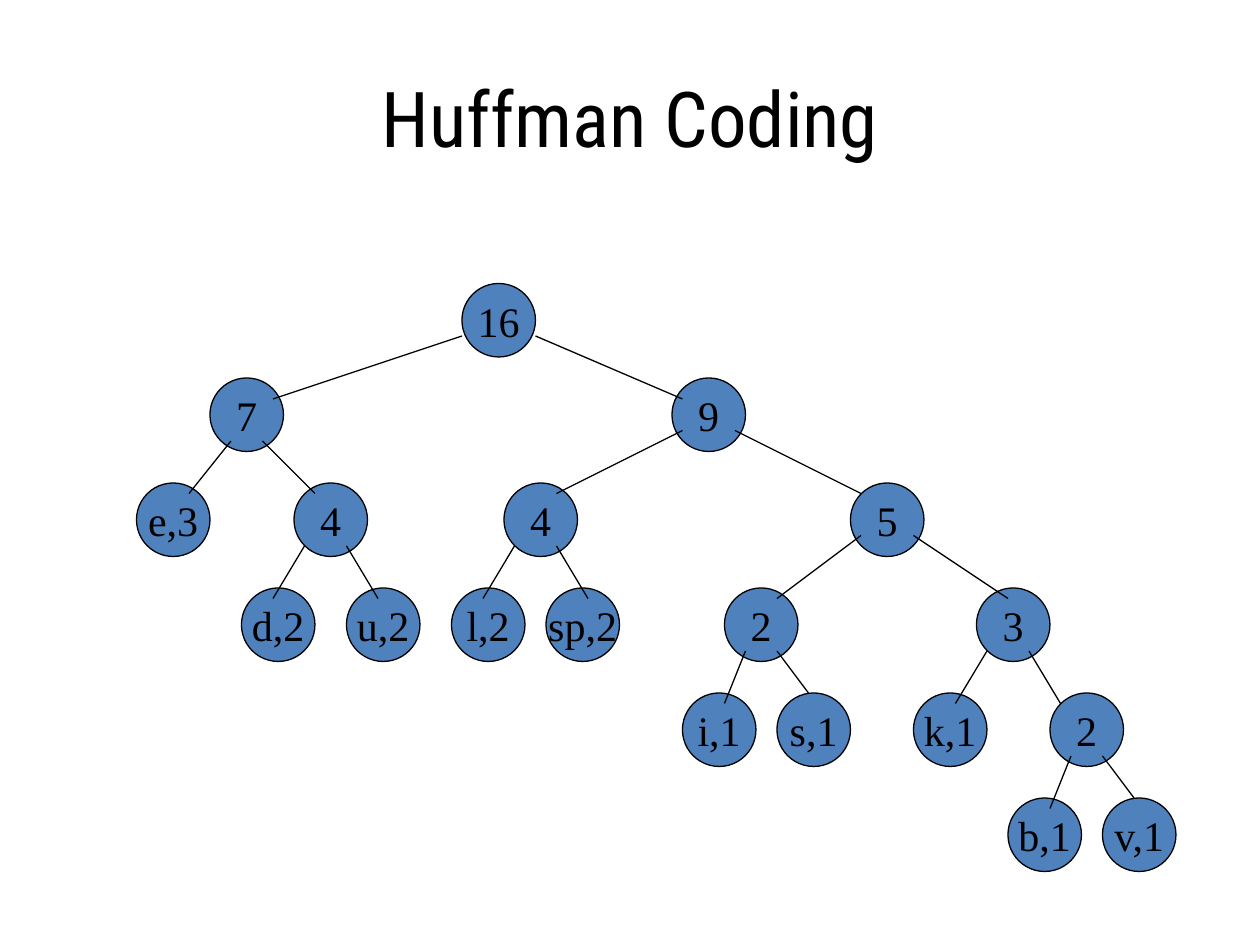
from dataclasses import dataclass

from lxml import etree
from pptx import Presentation
from pptx.dml.color import RGBColor
from pptx.enum.shapes import MSO_CONNECTOR, MSO_SHAPE
from pptx.enum.text import MSO_ANCHOR, PP_ALIGN
from pptx.oxml.ns import qn
from pptx.util import Pt

OVAL, STRAIGHT = MSO_SHAPE.OVAL, MSO_CONNECTOR.STRAIGHT
MIDDLE, CENTER = MSO_ANCHOR.MIDDLE, PP_ALIGN.CENTER
EMU_PER_PX = 9525
NODE_SIZE = 56
LEVEL_TOPS = (0, 72, 152, 232, 312, 392)


@dataclass(frozen=True)
class Theme:
    """Colours, fonts and sizes of the slide."""
    ink: RGBColor = RGBColor(0, 0, 0)
    node: RGBColor = RGBColor(0x4F, 0x81, 0xBD)
    title_font: str = "Roboto Condensed"
    node_font: str = "Times New Roman"
    title_size: int = 44
    node_size: int = 24
    line_width: float = 0.75


@dataclass(frozen=True)
class Node:
    """A tree node: left edge, edge start on its parent, edge end on itself."""
    label: str
    x: int
    start: tuple = ()
    end: tuple = ()
    children: tuple = ()


THEME = Theme()
TREE = Node("16", 248, children=(
    Node("7", 56, (0, 40), (48, 16), (
        Node("e,3", 0, (16, 48), (40, 8)),
        Node("4", 120, (40, 48), (16, 8), (
            Node("d,2", 80, (8, 48), (24, 8)),
            Node("u,2", 160, (40, 48), (24, 8)))))),
    Node("9", 408, (56, 40), (8, 16), (
        Node("4", 280, (8, 40), (40, 8), (
            Node("l,2", 240, (8, 48), (24, 8)),
            Node("sp,2", 312, (40, 48), (32, 8)))),
        Node("5", 544, (48, 40), (8, 8), (
            Node("2", 448, (8, 40), (40, 8), (
                Node("i,1", 416, (16, 48), (32, 8)),
                Node("s,1", 488, (40, 48), (24, 0)))),
            Node("3", 640, (48, 40), (24, 8), (
                Node("k,1", 592, (8, 48), (32, 8)),
                Node("2", 696, (40, 48), (8, 8), (
                    Node("b,1", 664, (16, 48), (32, 8)),
                    Node("v,1", 736, (40, 48), (24, 0)))))))))),
))


def px(*lengths):
    """Turn pixel lengths into EMU."""
    return [n * EMU_PER_PX for n in lengths]


def set_attrs(obj, values):
    """Set every attribute in a dict of values."""
    for name, value in values.items():
        setattr(obj, name, value)


def write(sp, text, font, size, wrap):
    """Put one centred paragraph into a shape."""
    tf = sp.text_frame
    set_attrs(tf, {"word_wrap": wrap, "vertical_anchor": MIDDLE})
    p = tf.paragraphs[0]
    p.alignment = CENTER
    r = p.add_run()
    r.text = text
    set_attrs(r.font, {"name": font, "size": Pt(size)})
    r.font.color.rgb = THEME.ink


def style_line(line):
    """Give an outline or edge the thin ink line."""
    line.color.rgb = THEME.ink
    line.width = Pt(THEME.line_width)


def add_title(s, box, text):
    """Place and format the title placeholder."""
    sp = s.shapes.title
    set_attrs(sp, dict(zip(("left", "top", "width", "height"), px(*box))))
    write(sp, text, THEME.title_font, THEME.title_size, True)


def add_node(s, x, y, label):
    """Draw one labelled circle."""
    sp = s.shapes.add_shape(OVAL, *px(x, y, NODE_SIZE, NODE_SIZE))
    sp.shadow.inherit = False
    sp.fill.solid()
    sp.fill.fore_color.rgb = THEME.node
    style_line(sp.line)
    write(sp, label, THEME.node_font, THEME.node_size, False)


def add_edge(s, x1, y1, x2, y2):
    """Draw one edge between two points."""
    cxn = s.shapes.add_connector(STRAIGHT, *px(x1, y1, x2, y2))
    style_line(cxn.line)
    etree.SubElement(cxn._element.spPr, qn("a:effectLst"))


def add_tree(s, box, node, level=0):
    """Draw the subtrees, then the node, then the edges to its children."""
    left, top = box
    x, y = left + node.x, top + LEVEL_TOPS[level]
    for child in node.children:
        add_tree(s, box, child, level + 1)
    add_node(s, x, y, node.label)
    for child in node.children:
        (dx1, dy1), (dx2, dy2) = child.start, child.end
        add_edge(s, x + dx1, y + dy1,
                 left + child.x + dx2, top + LEVEL_TOPS[level + 1] + dy2)


def main():
    """Build and save the slide."""
    prs = Presentation()
    prs.slide_width, prs.slide_height = px(960, 720)
    s = prs.slides.add_slide(prs.slide_layouts[5])
    add_title(s, (48, 29, 864, 120), "Huffman Coding")
    add_tree(s, (104, 216), TREE)
    prs.save("out.pptx")


if __name__ == "__main__":
    main()
